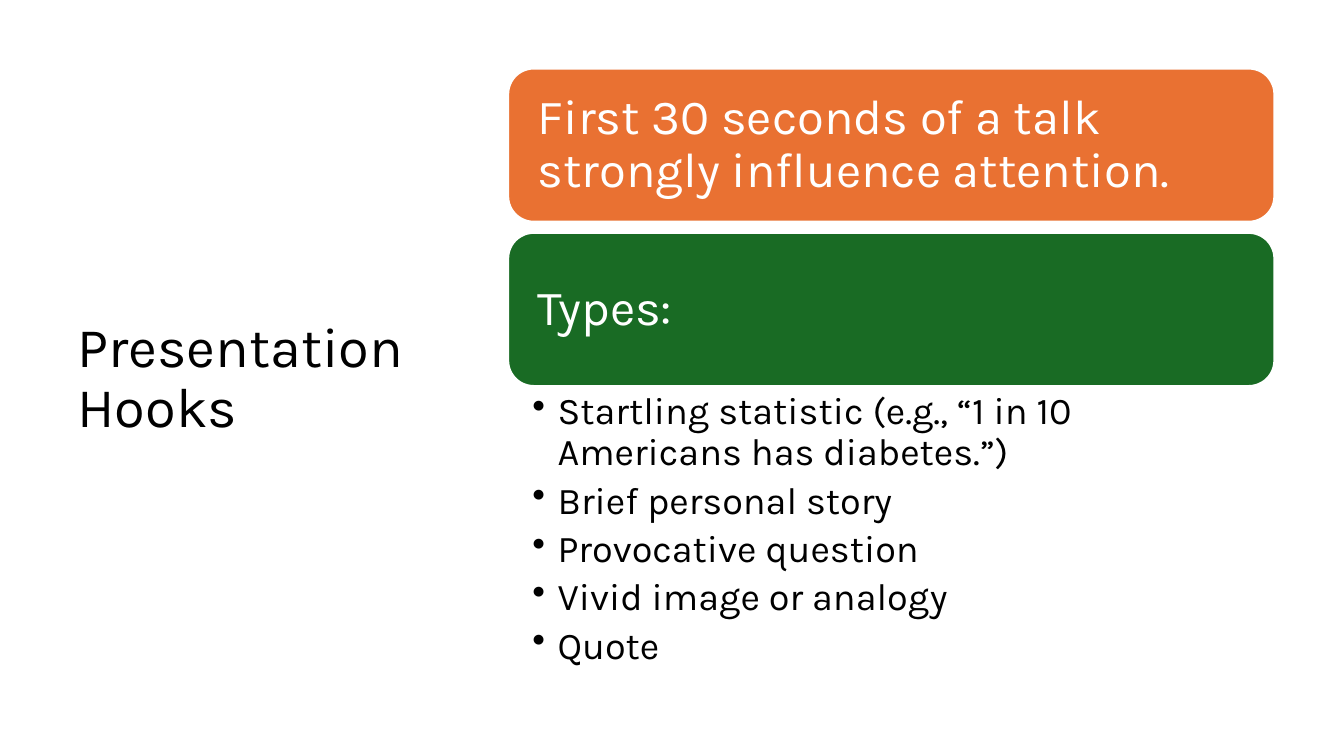
"""Build the Presentation Hooks slide: a title, two coloured cards and a bullet list."""
from lxml import etree
from pptx import Presentation
from pptx.dml.color import RGBColor
from pptx.enum.shapes import MSO_SHAPE
from pptx.enum.text import MSO_ANCHOR, PP_ALIGN
from pptx.oxml.ns import qn
from pptx.util import Inches, Pt

ROUNDED = MSO_SHAPE.ROUNDED_RECTANGLE
MIDDLE, TOP = MSO_ANCHOR.MIDDLE, MSO_ANCHOR.TOP
LEFT = PP_ALIGN.LEFT

THEME = {
    "font": "Karla",
    "white": "FFFFFF", "black": "000000", "orange": "E97132", "green": "196B24",
    "title": 40, "card": 35, "bullet": 27,
    "border": 1.5, "line_spacing": 0.9, "bullet_gap": 5.4,
}

TITLE = "Presentation Hooks"
CARDS = [
    ("First 30 seconds of a talk strongly influence attention.", "orange"),
    ("Types:", "green"),
]
HOOKS = [
    "Startling statistic (e.g., “1 in 10 Americans has diabetes.”)",
    "Brief personal story",
    "Provocative question",
    "Vivid image or analogy",
    "Quote",
]

TITLE_AREA = (0.67, 0.6, 3.82, 6.33)
COLUMN_LEFT, COLUMN_TOP, COLUMN_WIDTH = 5.04, 0.68, 7.6
CARD_HEIGHT, CARD_PITCH = 1.52, 1.63
LIST_TOP, LIST_HEIGHT = 3.84, 3.01
BULLET_INDENT = 0.25


def color(name):
    return RGBColor.from_string(THEME[name])


def add_bullet(para):
    properties = para._p.get_or_add_pPr()
    properties.set("marL", str(Inches(BULLET_INDENT)))
    properties.set("indent", str(-Inches(BULLET_INDENT)))
    etree.SubElement(properties, qn("a:buChar")).set("char", "•")


def write(shape, lines, size, ink, insets, anchor, bullets=False):
    frame = shape.text_frame
    left, top, right, bottom = map(Inches, insets)
    frame_format = {
        "word_wrap": True, "vertical_anchor": anchor, "margin_left": left,
        "margin_top": top, "margin_right": right, "margin_bottom": bottom,
    }
    for name, value in frame_format.items():
        setattr(frame, name, value)
    for index, line in enumerate(lines):
        para = frame.add_paragraph() if index else frame.paragraphs[0]
        if bullets:
            add_bullet(para)
            para.space_after = Pt(THEME["bullet_gap"])
        para.alignment = LEFT
        para.line_spacing = THEME["line_spacing"]
        span = para.add_run()
        span.text = line
        for name, value in {"name": THEME["font"], "size": Pt(THEME[size])}.items():
            setattr(span.font, name, value)
        span.font.color.rgb = color(ink)


def add_card(page, top, text, fill):
    area = (COLUMN_LEFT, top, COLUMN_WIDTH, CARD_HEIGHT)
    card = page.shapes.add_shape(ROUNDED, *map(Inches, area))
    card.shadow.inherit = False
    card.fill.solid()
    card.fill.fore_color.rgb = color(fill)
    card.line.color.rgb = color("white")
    card.line.width = Pt(THEME["border"])
    write(card, [text], "card", "white", (0.22, 0.22, 0.22, 0.22), MIDDLE)


def main():
    deck = Presentation()
    deck.slide_width, deck.slide_height = Inches(13.33), Inches(7.5)
    page = deck.slides.add_slide(deck.slide_layouts[6])

    title_box = page.shapes.add_textbox(*map(Inches, TITLE_AREA))
    write(title_box, [TITLE], "title", "black", (0.1, 0.05, 0.1, 0.05), MIDDLE)

    for index, (text, fill) in enumerate(CARDS):
        add_card(page, COLUMN_TOP + index * CARD_PITCH, text, fill)

    list_area = (COLUMN_LEFT, LIST_TOP, COLUMN_WIDTH, LIST_HEIGHT)
    list_box = page.shapes.add_textbox(*map(Inches, list_area))
    write(list_box, HOOKS, "bullet", "black", (0.24, 0.05, 0.27, 0.05), TOP, bullets=True)

    deck.save("out.pptx")


if __name__ == "__main__":
    main()
